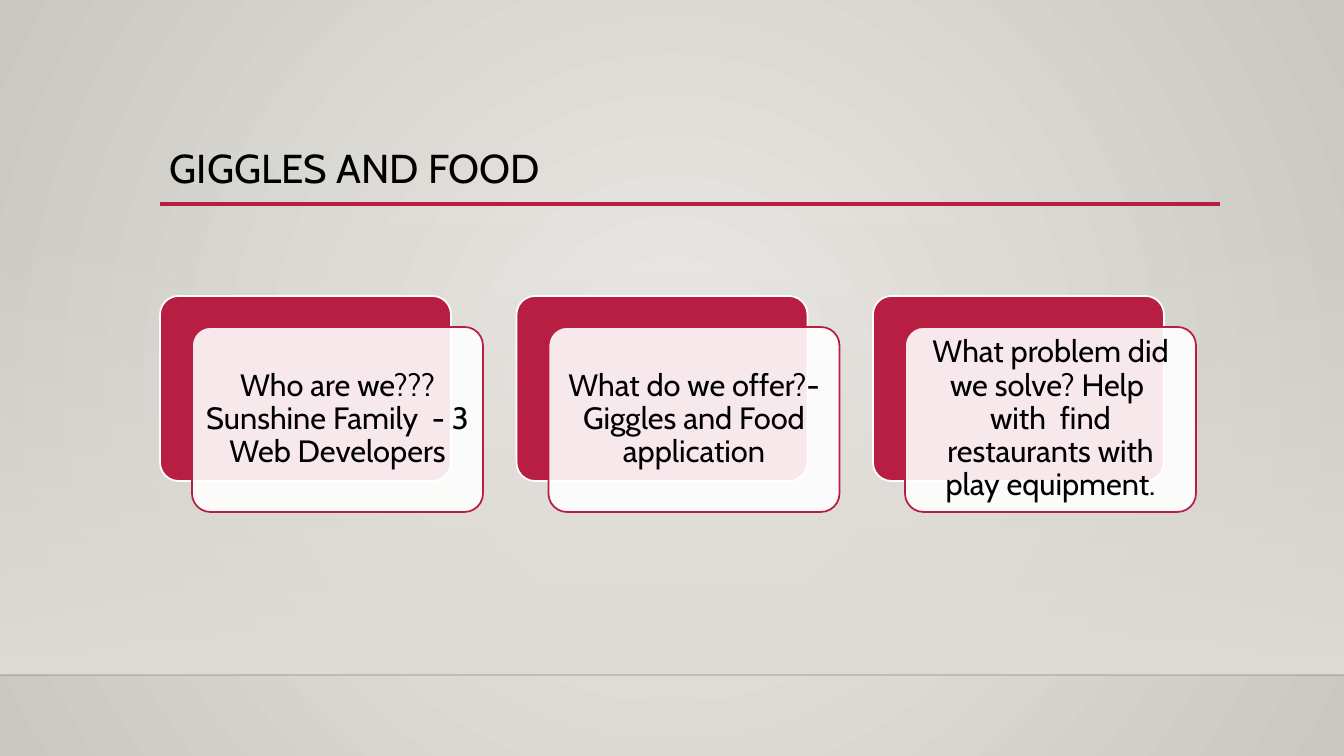
from lxml.etree import SubElement
from pptx import Presentation
from pptx.dml.color import RGBColor
from pptx.enum.shapes import MSO_CONNECTOR, MSO_SHAPE
from pptx.enum.text import MSO_ANCHOR, PP_ALIGN
from pptx.oxml.ns import qn
from pptx.util import Emu, Pt

# Content
TITLE = "GIGGLES AND FOOD"
CARDS = [
    "Who are we??? Sunshine Family  - 3 Web Developers",
    "What do we offer?- Giggles and Food application",
    "What problem did we solve? Help  with  find restaurants with play equipment.",
]

# Style and layout, lengths in px
FONT = "Cabin"
CRIMSON, WHITE, BLACK, FLOOR = "B71E42", "FFFFFF", "000000", "DFDBD5"
BACKGROUND = ("ECEAE7", "CAC7C1")
SLIDE_WIDTH, SLIDE_HEIGHT = 1344, 756
FLOOR_TOP, FLOOR_LINE = 223, 675
TITLE_BOX = (160, 151, 1037, 38)
RULE_LEFT, RULE_RIGHT, RULE_Y = 160, 1220, 204
FIRST_CARD, LAST_CARD, CARD_TOP = 160, 873, 296
CARD_WIDTH, CARD_HEIGHT = 291, 185
OFFSET_X, OFFSET_Y = 32, 31
TEXT_MARGIN, TEXT_INSET = 5, 9


def px(length):
    return Emu(round(length * 914400 / 100.8))


def color(value):
    return RGBColor.from_string(value)


def set_alpha(color_element, percent):
    SubElement(color_element, qn("a:alpha"), val=str(percent * 1000))


def set_gradient(fill, colors):
    fill.gradient()
    for stop, value in zip(fill.gradient_stops, colors):
        stop.color.rgb = color(value)


def add_line(left, right, y, value, width):
    line = slide.shapes.add_connector(
        MSO_CONNECTOR.STRAIGHT, px(left), px(y), px(right), px(y))
    line.line.color.rgb = color(value)
    line.line.width = Pt(width)
    SubElement(line._element.spPr, qn("a:effectLst"))
    return line


def add_panel(left, top, fill, outline):
    panel = slide.shapes.add_shape(
        MSO_SHAPE.ROUNDED_RECTANGLE,
        px(left), px(top), px(CARD_WIDTH), px(CARD_HEIGHT))
    panel.adjustments[0] = 0.1
    panel.shadow.inherit = False
    panel.fill.solid()
    panel.fill.fore_color.rgb = color(fill)
    panel.line.color.rgb = color(outline)
    panel.line.width = Pt(1.25)
    return panel


def add_text(box, text, size, alignment):
    shape = slide.shapes.add_textbox(*map(px, box))
    frame = shape.text_frame
    frame.word_wrap = True
    frame.vertical_anchor = MSO_ANCHOR.MIDDLE
    frame.text = text
    paragraph = frame.paragraphs[0]
    paragraph.alignment = alignment
    paragraph.line_spacing = 0.9
    font = paragraph.runs[0].font
    font.name, font.size = FONT, Pt(size)
    font.color.rgb = color(BLACK)
    return frame


presentation = Presentation()
presentation.slide_width = px(SLIDE_WIDTH)
presentation.slide_height = px(SLIDE_HEIGHT)
slide = presentation.slides.add_slide(presentation.slide_layouts[6])

# Background glow from the centre
set_gradient(slide.background.fill, BACKGROUND)
glow = next(slide._element.iter(qn("a:gradFill")))
glow.remove(glow.find(qn("a:lin")))
path = SubElement(glow, qn("a:path"), path="circle")
SubElement(path, qn("a:fillToRect"), l="50000", t="50000", r="50000", b="50000")

# Floor fading in towards its edge
floor = slide.shapes.add_shape(
    MSO_SHAPE.RECTANGLE, 0, px(FLOOR_TOP), px(SLIDE_WIDTH), px(FLOOR_LINE - FLOOR_TOP))
floor.shadow.inherit = False
floor.line.fill.background()
set_gradient(floor.fill, (FLOOR, FLOOR))
floor.fill.gradient_angle = 270
set_alpha(next(floor._element.spPr.iter(qn("a:srgbClr"))), 0)
floor_line = add_line(0, SLIDE_WIDTH, FLOOR_LINE, "000001", 1)
set_alpha(next(floor_line._element.spPr.iter(qn("a:srgbClr"))), 20)

# Title and its rule
add_line(RULE_LEFT, RULE_RIGHT, RULE_Y, CRIMSON, 2.5)
add_text(TITLE_BOX, TITLE, 28.8, PP_ALIGN.LEFT)

# Cards, evenly spread
pitch = (LAST_CARD - FIRST_CARD) / (len(CARDS) - 1)
for index, text in enumerate(CARDS):
    left = FIRST_CARD + index * pitch
    add_panel(left, CARD_TOP, CRIMSON, WHITE)
    front_left, front_top = left + OFFSET_X, CARD_TOP + OFFSET_Y
    front = add_panel(front_left, front_top, WHITE, CRIMSON)
    set_alpha(next(front._element.spPr.iter(qn("a:srgbClr"))), 90)
    text_box = (front_left + TEXT_MARGIN, front_top + TEXT_MARGIN,
                CARD_WIDTH - 2 * TEXT_MARGIN, CARD_HEIGHT - 2 * TEXT_MARGIN)
    frame = add_text(text_box, text, 22, PP_ALIGN.CENTER)
    frame.margin_left = frame.margin_right = px(TEXT_INSET)
    frame.margin_top = frame.margin_bottom = px(TEXT_INSET)

presentation.save("out.pptx")
